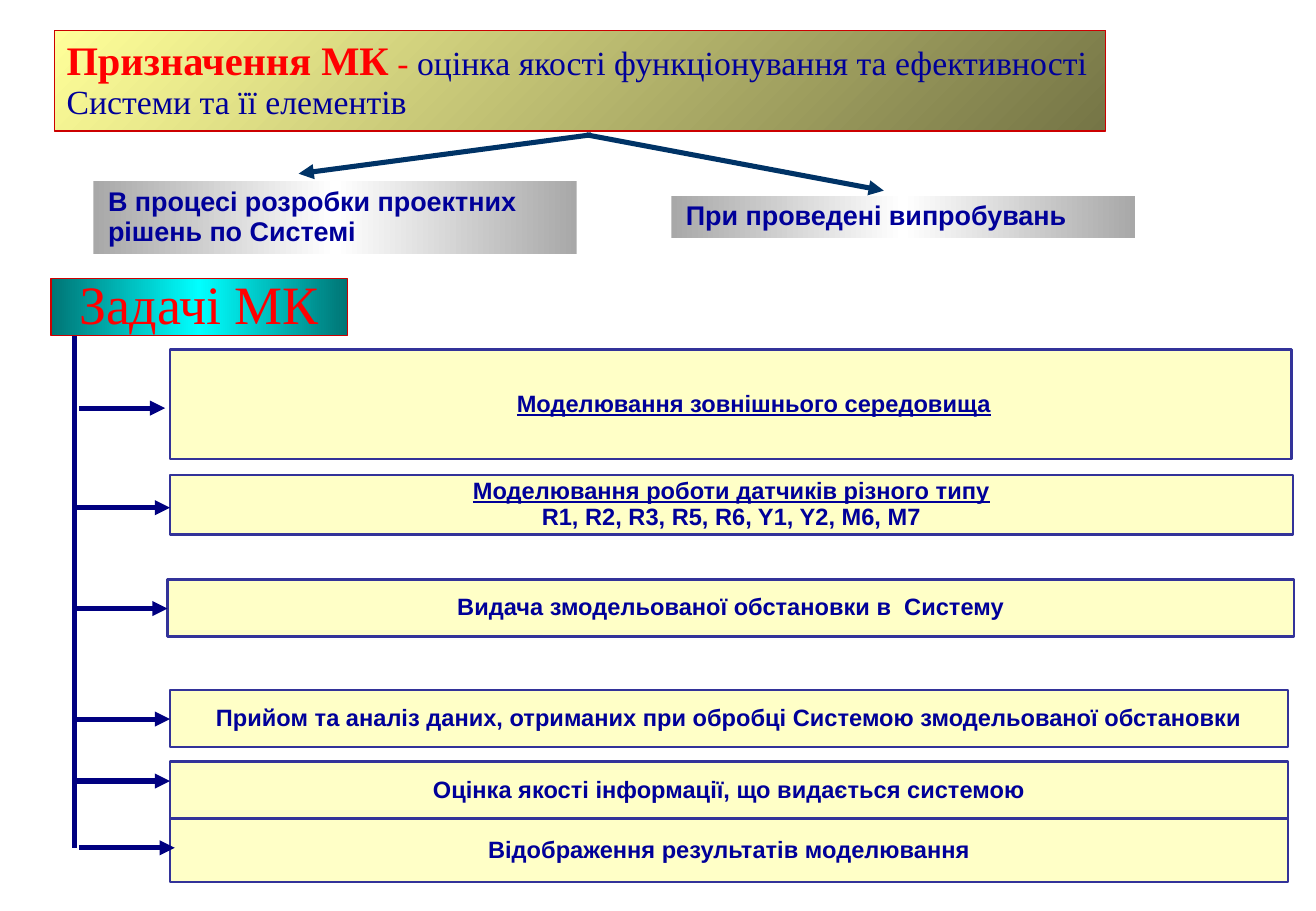
import dataclasses
import lxml.etree
import pptx
import pptx.dml.color
import pptx.enum.shapes
import pptx.enum.text
import pptx.oxml
import pptx.oxml.ns
import pptx.util

Inches = pptx.util.Inches
Pt = pptx.util.Pt
qn = pptx.oxml.ns.qn
ALIGN = pptx.enum.text.PP_ALIGN


@dataclasses.dataclass(frozen=True)
class Theme:
    navy: str = "000099"
    red: str = "FF0000"
    edge: str = "CC0000"
    frame: str = "333399"
    pale: str = "FFFF99"
    steel: str = "003366"
    rail: str = "000080"
    gold: tuple = ((0, "757546"), (100, "FFFF99"))
    silver: tuple = ((0, "A8A8A8"), (50, "FFFFFF"), (100, "A8A8A8"))
    aqua: tuple = ((0, "007575"), (50, "00FFFF"), (100, "007575"))
    serif: str = "Times New Roman"
    sans: str = "Arial"
    huge: int = 32
    title: int = 24
    lead: int = 20
    phase: int = 16
    task: int = 14


THEME = Theme()
TASK = dict(name=THEME.sans, size=THEME.task, color=THEME.navy, bold=True)
LINK = dict(TASK, underline=True)
PHASE = dict(TASK, size=THEME.phase)
LEAD = dict(name=THEME.serif, size=THEME.lead, color=THEME.navy, bold=False)


def rgb(code):
    return pptx.dml.color.RGBColor.from_string(code)


def style(font, form):
    for key, value in form.items():
        if key == "color":
            font.color.rgb = rgb(value)
        else:
            setattr(font, key, Pt(value) if key == "size" else value)


def blend(fill, stops, angle):
    fill.gradient()
    fill.gradient_angle = angle
    stop_list = fill._xPr.find(qn("a:gradFill")).find(qn("a:gsLst"))
    for old in list(stop_list):
        stop_list.remove(old)
    for place, code in stops:
        stop = lxml.etree.SubElement(stop_list, qn("a:gs"), pos=str(place * 1000))
        lxml.etree.SubElement(stop, qn("a:srgbClr"), val=code)


def tint(fill, code, alpha):
    fill.solid()
    fill.fore_color.rgb = rgb(code)
    color = fill._xPr.find(qn("a:solidFill"))[0]
    lxml.etree.SubElement(color, qn("a:alpha"), val=str(alpha * 1000))


def panel(slide, box, lines, edge=None, width=0.75, align=ALIGN.LEFT,
          inset=(0.1, 0.05, 0.1, 0.05)):
    shape = slide.shapes.add_shape(
        pptx.enum.shapes.MSO_SHAPE.RECTANGLE, *map(Inches, box))
    shape.shadow.inherit = False
    if edge:
        shape.line.color.rgb = rgb(edge)
        shape.line.width = Pt(width)
    else:
        shape.line.fill.background()
    frame = shape.text_frame
    left, top, right, bottom = map(Inches, inset)
    form = dict(word_wrap=True, margin_left=left, margin_top=top,
                margin_right=right, margin_bottom=bottom,
                vertical_anchor=pptx.enum.text.MSO_ANCHOR.MIDDLE)
    for key, value in form.items():
        setattr(frame, key, value)
    para = frame.paragraphs[0]
    para.alignment = align
    para.line_spacing = 0.93
    for index, line in enumerate(lines):
        if index:
            para.add_line_break()
        for text, look in line:
            run = para.add_run()
            run.text = text
            style(run.font, look)
    return shape


def link(slide, start, end, color, arrow=True):
    line = slide.shapes.add_connector(
        pptx.enum.shapes.MSO_CONNECTOR.STRAIGHT, *map(Inches, start + end))
    line.line.color.rgb = rgb(color)
    line.line.width = Pt(3)
    if arrow:
        lxml.etree.SubElement(line.line._get_or_add_ln(), qn("a:tailEnd"),
                              type="triangle")
    lxml.etree.SubElement(line._element.spPr, qn("a:effectLst"))


def purpose(slide, box):
    lines = [[
        ("Призначення МК", dict(LEAD, size=THEME.title, color=THEME.red, bold=True)),
        (" - ", dict(LEAD, color=THEME.red)),
        ("оцінка якості функціонування та ефективності Системи та її елементів", LEAD),
    ]]
    shape = panel(slide, box, lines, THEME.edge)
    blend(shape.fill, THEME.gold, 135)


def phases(slide, box):
    x, y, width, height = box
    items = [
        ("В процесі розробки проектних рішень по Системі",
         (x, y + 0.38, 3.98, 0.6), (x + 4.1, y), (x + 1.69, y + 0.32)),
        ("При проведені випробувань",
         (x + width - 3.82, y + 0.5, 3.82, 0.35), (x + 4.06, y), (x + 6.51, y + 0.46)),
    ]
    for text, place, start, end in items:
        shape = panel(slide, place, [[(text, PHASE)]], inset=(0.12, 0.05, 0.02, 0.05))
        shape.text_frame.auto_size = pptx.enum.text.MSO_AUTO_SIZE.SHAPE_TO_FIT_TEXT
        blend(shape.fill, THEME.silver, 0)
        link(slide, start, end, THEME.steel)


def tasks(slide, box):
    x, y, width, height = box
    rail = x + 0.19
    head = dict(name=THEME.serif, size=THEME.huge, color=THEME.red)
    shape = panel(slide, (x, y, 2.44, 0.47), [[("Задачі МК", head)]],
                  THEME.edge, align=ALIGN.CENTER)
    blend(shape.fill, THEME.aqua, 0)
    link(slide, (rail, y + 0.48), (rail, y + 4.69), THEME.rail, False)
    rows = [
        ([[("Моделювання зовнішнього середовища", LINK)]],
         (0.98, 0.59, 9.24, 0.9), (0.48, 0, 0.1, 0), (0.04, 0.75, 1.07)),
        ([[("Моделювання роботи датчиків різного типу", LINK)],
          [("R1, R2, R3, R5, R6, Y1, Y2, M6, M7", TASK)]],
         (0.98, 1.62, 9.25, 0.49), (0.1, 0.05, 0.1, 0.05), (0, 0.79, 1.89)),
        ([[("Видача змодельованої обстановки в  Систему", TASK)]],
         (0.96, 2.48, 9.28, 0.47), (0.1, 0.05, 0.1, 0.05), (0, 0.77, 2.72)),
        ([[("Прийом та аналіз даних, отриманих при обробці Системою "
            "змодельованої обстановки", TASK)]],
         (0.98, 3.39, 9.21, 0.47), (0.1, 0.01, 0.1, 0.01), (0, 0.79, 3.63)),
        ([[("Оцінка якості інформації, що видається системою", TASK)]],
         (0.98, 3.98, 9.21, 0.47), (0.1, 0.05, 0.1, 0.05), (0, 0.79, 4.14)),
        ([[("Відображення результатів моделювання", TASK)]],
         (0.98, 4.45, 9.21, 0.52), (0.1, 0.01, 0.1, 0.01), (0.04, 0.83, 4.69)),
    ]
    for lines, (left, top, wide, high), inset, (near, far, level) in rows:
        shape = panel(slide, (x + left, y + top, wide, high), lines,
                      THEME.frame, 1.5, ALIGN.CENTER, inset)
        tint(shape.fill, THEME.pale, 54)
        link(slide, (rail + near, y + level), (rail + far, y + level), THEME.rail)


def main():
    deck = pptx.Presentation()
    deck.slide_width = Inches(10.84)
    deck.slide_height = Inches(7.5)
    slide = deck.slides.add_slide(deck.slide_layouts[6])
    purpose(slide, (0.45, 0.25, 8.66, 0.83))
    phases(slide, (0.77, 1.11, 8.58, 0.98))
    tasks(slide, (0.42, 2.29, 10.24, 4.97))
    deck.save("out.pptx")


if __name__ == "__main__":
    main()
